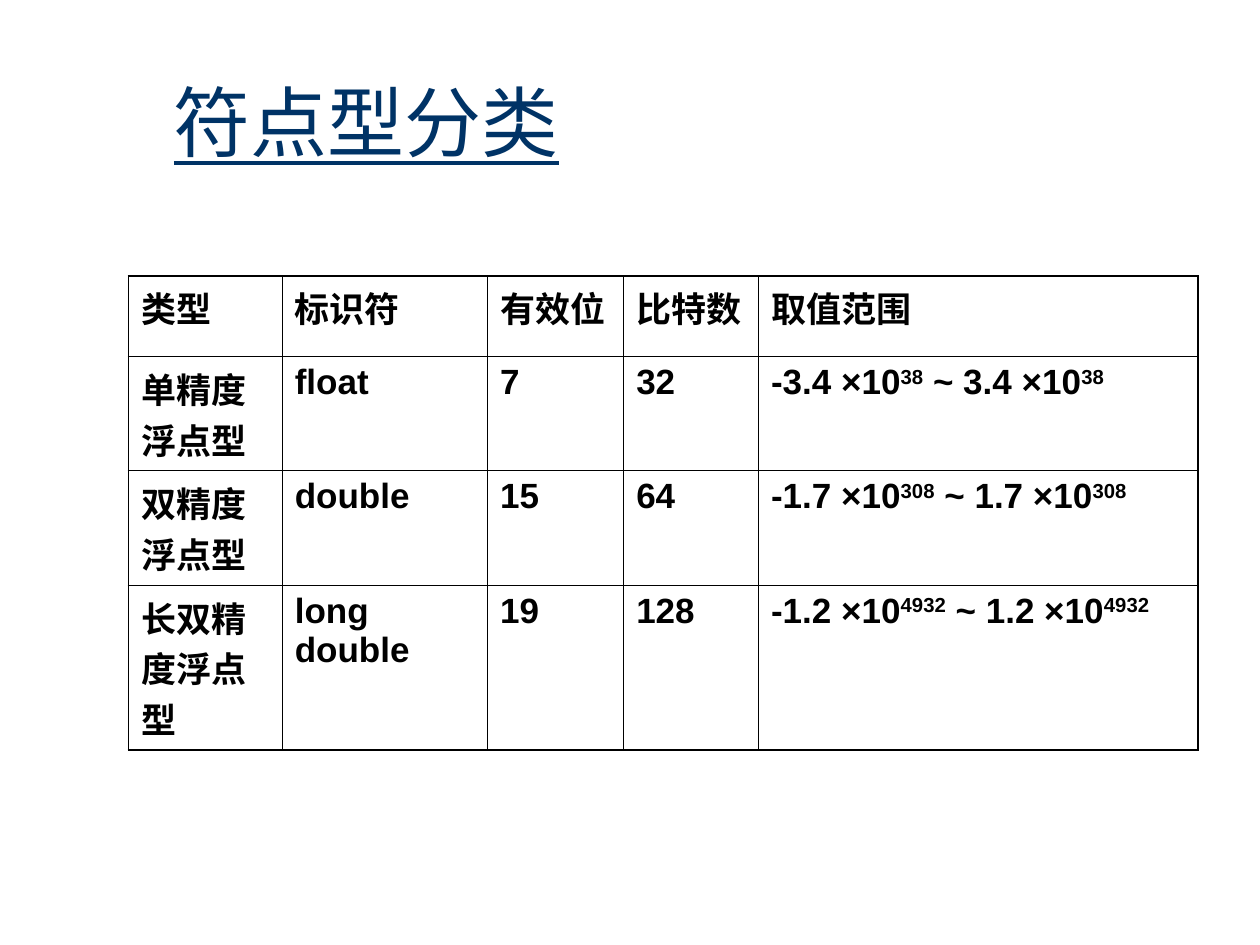
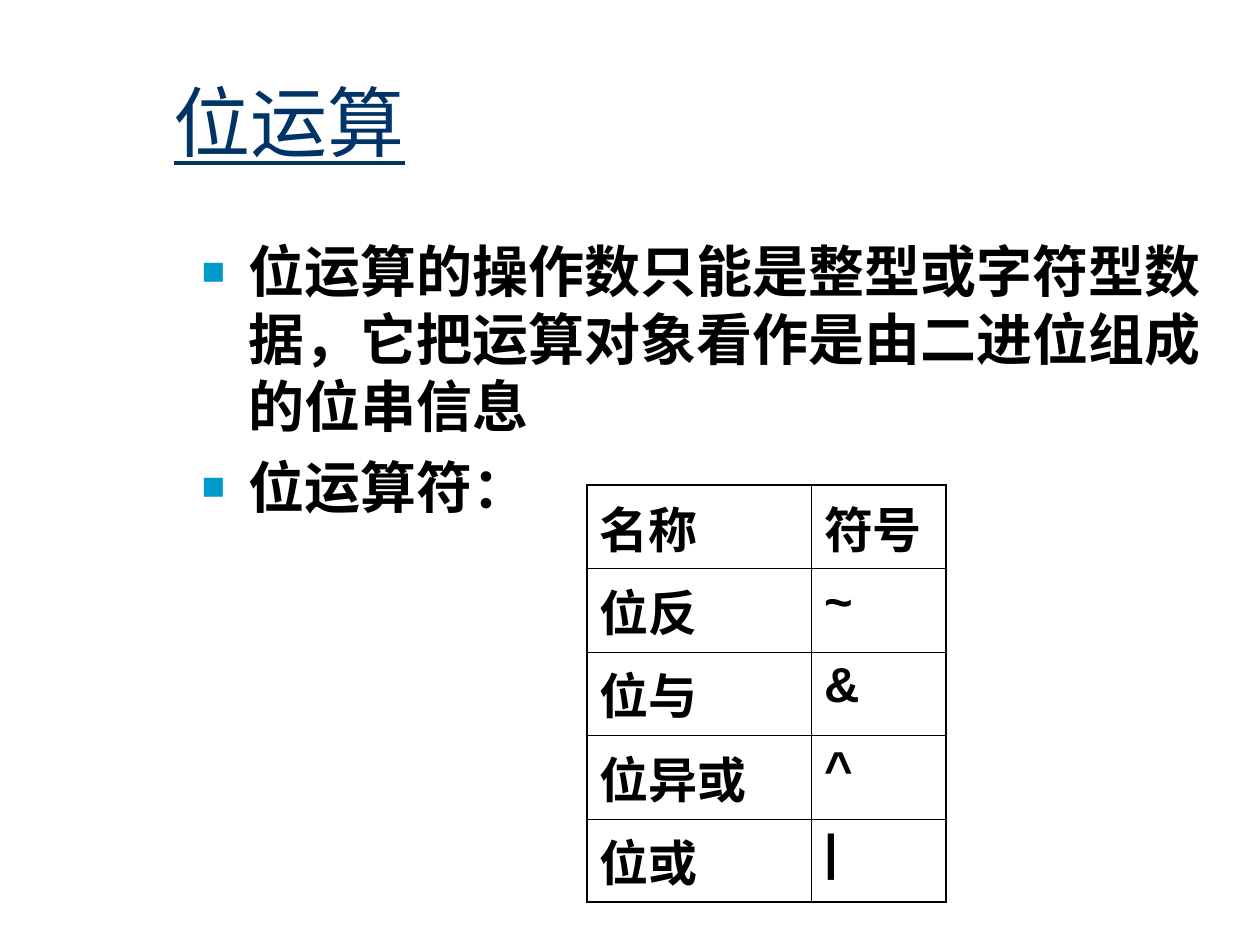
import pptx
import pptx.dml.color
import pptx.enum.text
import pptx.oxml.ns
import pptx.util
from lxml import etree

Inches = pptx.util.Inches
Pt = pptx.util.Pt
qn = pptx.oxml.ns.qn

COLORS = {"title": "003366", "text": "000000", "bullet": "0099CC", "border": "000000"}
TITLE_FONT = "Comic Neue"
TEXT_FONT = "Arial"
OUTER_LINE = 1.08
INNER_LINE = 0.45


class Deck:
    def __init__(self):
        self.presentation = pptx.Presentation()
        self.presentation.slide_width = Inches(10)
        self.presentation.slide_height = Inches(7.5)
        self.slide = None

    def start_slide(self, layout_index, title):
        layout = self.presentation.slide_layouts[layout_index]
        self.slide = self.presentation.slides.add_slide(layout)
        shape = self.slide.shapes.title
        self.place(shape, 1.28, 0.33, 8.5, 1.25)
        text_frame = shape.text_frame
        text_frame.text = title
        text_frame.vertical_anchor = pptx.enum.text.MSO_ANCHOR.MIDDLE
        paragraph = text_frame.paragraphs[0]
        paragraph.alignment = pptx.enum.text.PP_ALIGN.LEFT
        for run in paragraph.runs:
            self.format_font(run.font, TITLE_FONT, 44, "title")
            run.font.underline = True

    def place(self, shape, left, top, width, height):
        shape.left, shape.top = Inches(left), Inches(top)
        shape.width, shape.height = Inches(width), Inches(height)

    def format_font(self, font, name, size, color, bold=False):
        font.name = name
        font.size = Pt(size)
        font.bold = bold
        font.color.rgb = pptx.dml.color.RGBColor.from_string(COLORS[color])

    def bullets(self, items):
        shape = self.slide.placeholders[1]
        self.place(shape, 1.5, 1.83, 8.5, 4.83)
        text_frame = shape.text_frame
        text_frame.auto_size = pptx.enum.text.MSO_AUTO_SIZE.NONE
        text_frame.text = "\n".join(items)
        for index, paragraph in enumerate(text_frame.paragraphs):
            self.add_bullet(paragraph)
            paragraph.space_before = Pt(8 if index else 0)
            for run in paragraph.runs:
                self.format_font(run.font, TEXT_FONT, 32, "text", bold=True)

    def add_bullet(self, paragraph):
        properties = paragraph._p.get_or_add_pPr()
        properties.set("marL", str(Inches(0.37)))
        properties.set("indent", str(-Inches(0.37)))
        color = etree.SubElement(properties, qn("a:buClr"))
        etree.SubElement(color, qn("a:srgbClr"), val=COLORS["bullet"])
        etree.SubElement(properties, qn("a:buSzPct"), val="70000")
        etree.SubElement(properties, qn("a:buFont"), typeface=TEXT_FONT)
        etree.SubElement(properties, qn("a:buChar"), char="■")

    def table(self, left, top, widths, heights, rows, size):
        frame = self.slide.shapes.add_table(
            len(rows), len(widths), Inches(left), Inches(top),
            Inches(sum(widths)), Inches(sum(heights)))
        table = frame.table
        table.first_row = table.horz_banding = False
        for column, width in zip(table.columns, widths):
            column.width = Inches(width)
        for row, height in zip(table.rows, heights):
            row.height = Inches(height)
        last_row, last_column = len(rows) - 1, len(widths) - 1
        for row_index, row in enumerate(rows):
            for column_index, content in enumerate(row):
                cell = table.cell(row_index, column_index)
                self.fill_cell(cell, content, size)
                self.border_cell(cell, {
                    "L": column_index == 0, "R": column_index == last_column,
                    "T": row_index == 0, "B": row_index == last_row})

    def fill_cell(self, cell, content, size):
        cell.fill.background()
        parts = (content,) if isinstance(content, str) else content
        paragraph = cell.text_frame.paragraphs[0]
        for index, part in enumerate(parts):
            run = paragraph.add_run()
            run.text = part
            self.format_font(run.font, TEXT_FONT, size, "text", bold=True)
            if index % 2:
                run._r.get_or_add_rPr().set("baseline", "30000")

    def border_cell(self, cell, outer_sides):
        properties = cell._tc.get_or_add_tcPr()
        for index, (side, is_outer) in enumerate(outer_sides.items()):
            width = Pt(OUTER_LINE if is_outer else INNER_LINE)
            line = etree.Element(qn(f"a:ln{side}"), w=str(width))
            fill = etree.SubElement(line, qn("a:solidFill"))
            etree.SubElement(fill, qn("a:srgbClr"), val=COLORS["border"])
            properties.insert(index, line)


def value_range(mantissa, exponent):
    return (f"-{mantissa} ×10", exponent, f" ~ {mantissa} ×10", exponent)


def main():
    deck = Deck()

    deck.start_slide(5, "符点型分类")
    float_types = [
        ("类型", "标识符", "有效位", "比特数", "取值范围"),
        ("单精度浮点型", "float", "7", "32", value_range("3.4", "38")),
        ("双精度浮点型", "double", "15", "64", value_range("1.7", "308")),
        ("长双精度浮点型", "long double", "19", "128", value_range("1.2", "4932")),
    ]
    deck.table(1.02, 2.19, [1.22, 1.63, 1.08, 1.07, 3.49],
               [0.64, 0.77, 0.77, 1.1], float_types, 20)

    deck.start_slide(1, "位运算")
    deck.bullets([
        "位运算的操作数只能是整型或字符型数据，它把运算对象看作是由二进位组成的位串信息",
        "位运算符：",
    ])
    bit_operators = [("名称", "符号"), ("位反", "~"), ("位与", "&"),
                     ("位异或", "^"), ("位或", "|")]
    deck.table(4.66, 3.85, [1.78, 1.07], [0.57] * len(bit_operators), bit_operators, 28)

    deck.presentation.save("out.pptx")


if __name__ == "__main__":
    main()
